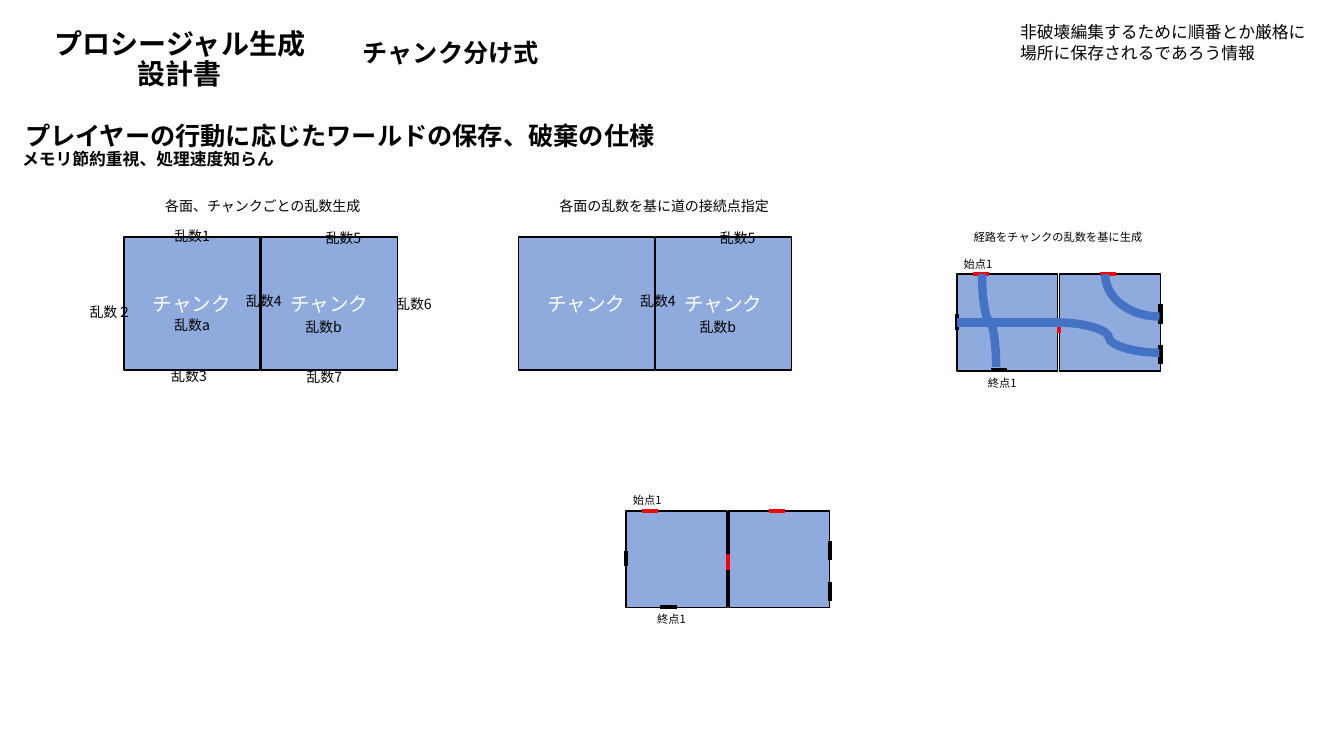
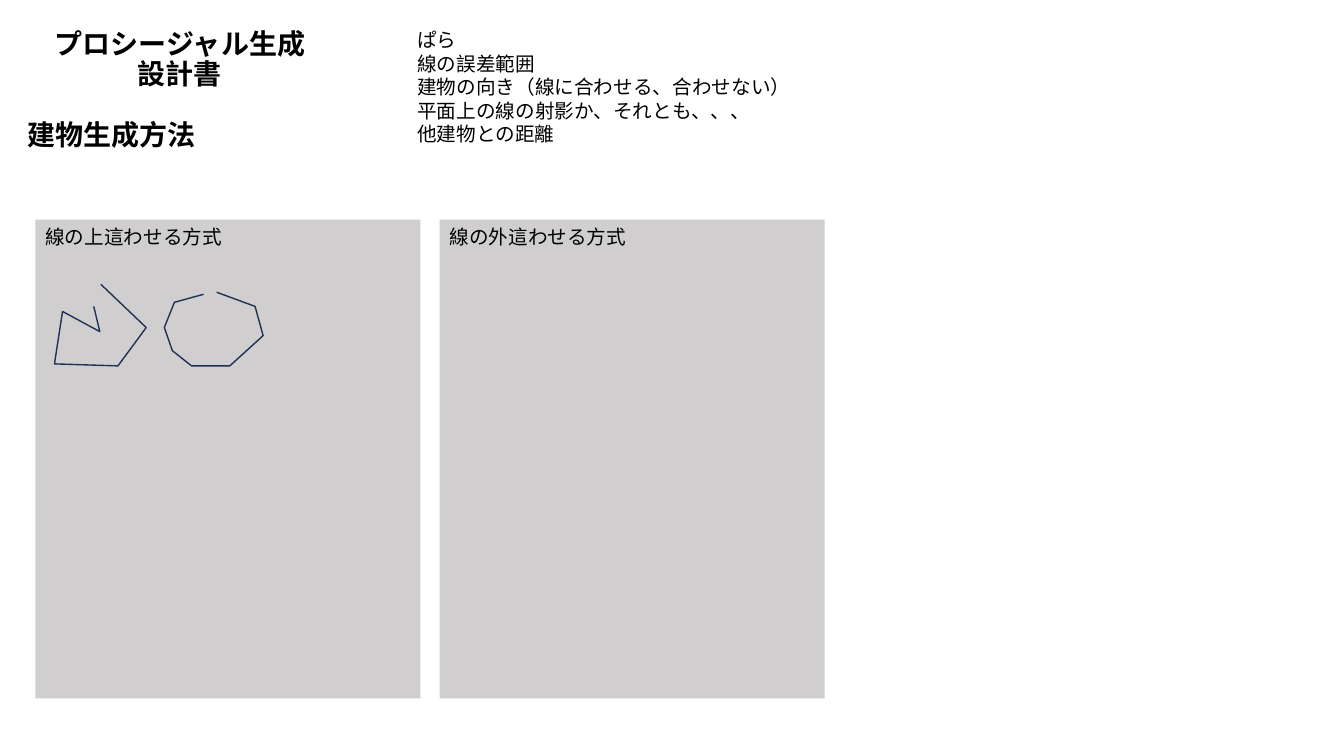
from typing import NamedTuple

from lxml import etree
from pptx import Presentation
from pptx.dml.color import RGBColor
from pptx.enum.shapes import MSO_CONNECTOR, MSO_SHAPE
from pptx.enum.text import MSO_ANCHOR, PP_ALIGN
from pptx.oxml.ns import qn
from pptx.util import Inches, Pt

FONT = "Noto Sans CJK JP"
BLACK = RGBColor(0x00, 0x00, 0x00)
WHITE = RGBColor(0xFF, 0xFF, 0xFF)
RED = RGBColor(0xFF, 0x00, 0x00)
SKY = RGBColor(0x8F, 0xAA, 0xDC)
BLUE = RGBColor(0x44, 0x72, 0xC4)
NAVY = RGBColor(0x1E, 0x32, 0x56)
GRAY = RGBColor(0xD0, 0xCE, 0xCE)

RECT, ARC = MSO_SHAPE.RECTANGLE, MSO_SHAPE.ARC
LINE, CURVE = MSO_CONNECTOR.STRAIGHT, MSO_CONNECTOR.CURVE
CENTER, LEFT = PP_ALIGN.CENTER, PP_ALIGN.LEFT
TOP, MIDDLE, BOTTOM = MSO_ANCHOR.TOP, MSO_ANCHOR.MIDDLE, MSO_ANCHOR.BOTTOM


class Box(NamedTuple):
    x: float
    y: float
    w: float
    h: float


class Label(NamedTuple):
    """A text with its box, measured from the group's corner."""
    text: str
    box: Box


class Mark(NamedTuple):
    """A gate on a chunk's side, measured from the map's corner."""
    x1: float
    y1: float
    x2: float
    y2: float
    color: RGBColor


RANDOM = {
    "1": Label("乱数1", Box(0.4, -0.14, 0.68, 0.27)),
    "2": Label("乱数２", Box(-0.44, 0.61, 0.77, 0.27)),
    "3": Label("乱数3", Box(0.37, 1.25, 0.68, 0.27)),
    "4": Label("乱数4", Box(1.11, 0.5, 0.68, 0.27)),
    "5": Label("乱数5", Box(1.9, -0.12, 0.68, 0.27)),
    "6": Label("乱数6", Box(2.6, 0.53, 0.68, 0.27)),
    "7": Label("乱数7", Box(1.71, 1.26, 0.68, 0.27)),
    "a": Label("乱数a", Box(0.4, 0.74, 0.77, 0.27)),
    "b": Label("乱数b", Box(1.7, 0.76, 0.77, 0.27)),
}
ENDS = [
    Label("終点1", Box(0.21, 0.96, 0.5, 0.24)),
    Label("始点1", Box(-0.03, -0.22, 0.5, 0.24)),
]
MARKS = [
    Mark(0.16, 0, 0.32, 0, RED),
    Mark(0.34, 0.95, 0.5, 0.95, BLACK),
    Mark(1.42, 0, 1.58, 0, RED),
    Mark(2.02, 0.3, 2.02, 0.49, BLACK),
    Mark(1.01, 0.43, 1.01, 0.58, RED),
    Mark(2.02, 0.7, 2.02, 0.89, BLACK),
    Mark(0, 0.4, 0, 0.55, BLACK),
]
PATHS = [
    [(1, 2.82), (1.45, 3.25), (1.17, 3.63), (0.54, 3.61), (0.62, 3.09),
     (0.99, 3.29), (0.93, 3.04)],
    [(2.02, 2.92), (1.73, 3), (1.63, 3.25), (1.71, 3.48), (1.9, 3.63),
     (2.28, 3.63), (2.61, 3.33), (2.53, 3.04), (2.15, 2.9)],
]


# Basic parts
def inches(values) -> list:
    return [Inches(value) for value in values]


def write(frame, text: str, size: float, color=BLACK, bold=False,
          align=LEFT, anchor=TOP, space=1.0) -> None:
    """Fill a frame: newline parts paragraphs, vertical bar breaks a line."""
    frame.word_wrap = True
    frame.vertical_anchor = anchor
    for i, line in enumerate(text.split("\n")):
        para = frame.add_paragraph() if i else frame.paragraphs[0]
        para.alignment = align
        para.line_spacing = space
        for j, part in enumerate(line.split("|")):
            if j:
                para.add_line_break()
            run = para.add_run()
            run.text = part
            font = run.font
            font.size, font.bold, font.name = Pt(size), bold, FONT
            font.color.rgb = color
            east = etree.SubElement(run._r.get_or_add_rPr(), qn("a:ea"))
            east.set("typeface", FONT)


def add_text(slide, text: str, box: Box, size: float, **style) -> None:
    frame = slide.shapes.add_textbox(*inches(box)).text_frame
    write(frame, text, size, **style)


def add_rect(slide, box: Box, fill: RGBColor, edge=None):
    rect = slide.shapes.add_shape(RECT, *inches(box))
    rect.shadow.inherit = False
    rect.fill.solid()
    rect.fill.fore_color.rgb = fill
    if edge is None:
        rect.line.fill.background()
    else:
        rect.line.color.rgb = edge
        rect.line.width = Pt(1)
    return rect


def add_line(slide, ends, color: RGBColor, width: float, kind=LINE):
    line = slide.shapes.add_connector(kind, *inches(ends))
    line.line.color.rgb = color
    line.line.width = Pt(width)
    etree.SubElement(line._element.spPr, qn("a:effectLst"))
    return line


def add_head(slide, text: str, box: Box) -> None:
    add_text(slide, text, box, 20, bold=True, align=CENTER,
             anchor=BOTTOM, space=0.9)


def new_slide(deck):
    slide = deck.slides.add_slide(deck.slide_layouts[6])
    add_head(slide, "プロシージャル生成|設計書", Box(0, 0, 3.57, 0.95))
    return slide


# Groups
def add_labels(slide, labels, x: float, y: float, size: float) -> None:
    for text, box in labels:
        add_text(slide, text, Box(x + box.x, y + box.y, box.w, box.h), size)


def add_pair(slide, x: float, y: float, title: str, keys: str) -> None:
    """Two named chunks with their random numbers."""
    for i in range(2):
        rect = add_rect(slide, Box(x + i * 1.36, y, 1.35, 1.32), SKY, BLACK)
        write(rect.text_frame, "チャンク", 14, color=WHITE,
              align=CENTER, anchor=MIDDLE)
    add_text(slide, title, Box(x + 0.31, y - 0.44, 2.74, 0.27), 10)
    add_labels(slide, [RANDOM[key] for key in keys], x, y, 10)


def add_map(slide, x: float, y: float) -> list:
    """Two small chunks with gates on their sides."""
    rects = [add_rect(slide, Box(x + i * 1.02, y, 1, 0.96), SKY, BLACK)
             for i in range(2)]
    add_labels(slide, ENDS, x, y, 8)
    for mark in MARKS:
        ends = (x + mark.x1, y + mark.y1, x + mark.x2, y + mark.y2)
        add_line(slide, ends, mark.color, 3)
    return rects


def add_roads(slide, rects) -> None:
    arc = slide.shapes.add_shape(ARC, *inches((10.96, 2.3, 1.08, 0.84)))
    arc.rotation = 180
    arc.shadow.inherit = False
    arc.fill.background()
    arc.line.color.rgb = BLUE
    arc.line.width = Pt(6)

    add_line(slide, (11.5, 3.5, 10.5, 3.2), BLUE, 6, CURVE)
    # Quarter turn makes this curve run from bottom to top
    climb = add_line(slide, (9.35, 3.25, 10.27, 3.11), BLUE, 6, CURVE)
    climb._element.spPr.find(qn("a:xfrm")).set("rot", str(270 * 60000))

    road = add_line(slide, (9.49, 3.2, 10.5, 3.2), BLUE, 6)
    road.begin_connect(rects[0], 1)
    road.end_connect(rects[1], 1)


# Slides
def chunk_slide(deck) -> None:
    slide = new_slide(deck)
    add_text(slide, "プレイヤーの行動に応じたワールドの保存、破棄の仕様",
             Box(0.15, 1.14, 6.58, 0.4), 18, bold=True)
    add_text(slide, "メモリ節約重視、処理速度知らん",
             Box(0.12, 1.43, 3.79, 0.3), 12, bold=True)
    add_text(slide, "チャンク分け式", Box(3.5, 0.32, 2.1, 0.4), 18, bold=True)
    add_text(slide, "非破壊編集するために順番とか厳格に\n"
             "場所に保存されるであろう情報", Box(10.02, 0.17, 3.2, 0.71), 12)
    add_pair(slide, 1.23, 2.35, "各面、チャンクごとの乱数生成", "1234567ab")
    add_pair(slide, 5.14, 2.35, "各面の乱数を基に道の接続点指定", "45b")
    add_map(slide, 6.21, 5.07)
    rects = add_map(slide, 9.49, 2.72)
    add_text(slide, "経路をチャンクの乱数を基に生成",
             Box(9.56, 2.24, 2.17, 0.24), 8)
    add_roads(slide, rects)


def house_slide(deck) -> None:
    slide = new_slide(deck)
    add_head(slide, "建物生成方法", Box(0, 1.08, 2.21, 0.47))
    add_text(slide, "ぱら\n線の誤差範囲\n建物の向き（線に合わせる、合わせない）\n"
             "平面上の線の射影か、それとも、、、\n他建物との距離",
             Box(4.04, 0.23, 4.07, 1.28), 14)
    for i, title in enumerate(["線の上這わせる方式", "線の外這わせる方式"]):
        x = 0.35 + i * 4.01
        add_rect(slide, Box(x, 2.18, 3.82, 4.75), GRAY)
        add_text(slide, title, Box(x, 2.18, 2.62, 0.34), 14)
    for points in PATHS:
        start, *rest = [inches(point) for point in points]
        pen = slide.shapes.build_freeform(*start)
        pen.add_line_segments(rest, close=False)
        path = pen.convert_to_shape()
        path.shadow.inherit = False
        path.fill.background()
        path.line.color.rgb = NAVY
        path.line.width = Pt(1)


def main() -> None:
    deck = Presentation()
    deck.slide_width, deck.slide_height = Inches(13.33), Inches(7.5)
    chunk_slide(deck)
    house_slide(deck)
    deck.save("out.pptx")


if __name__ == "__main__":
    main()
